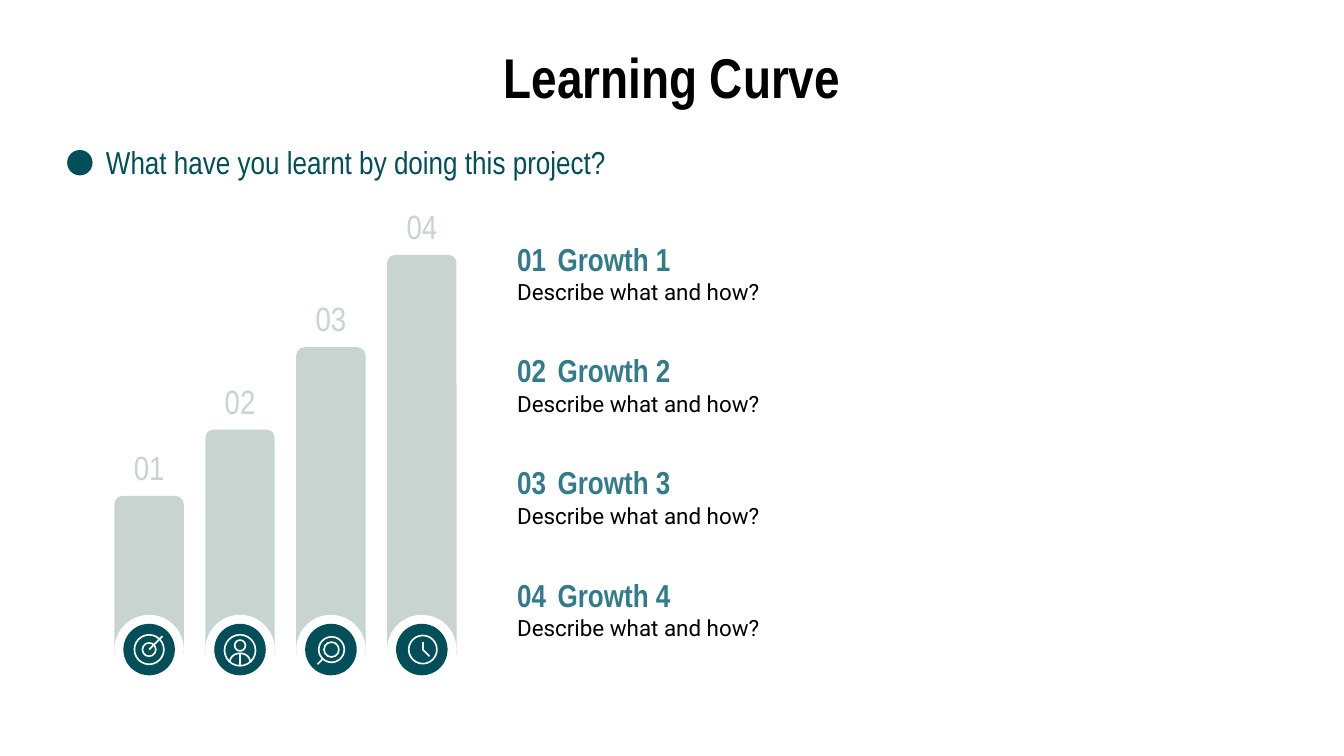
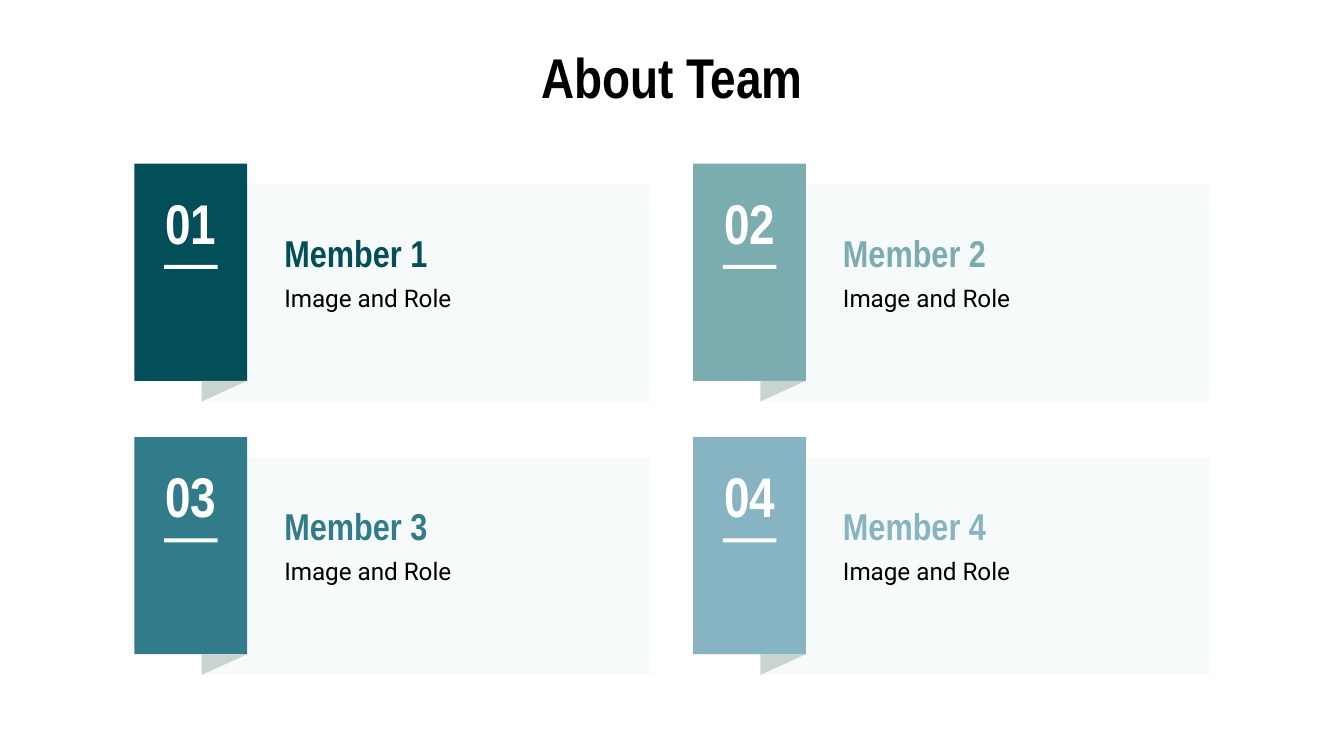
"""Build the learning curve and team slides."""

import dataclasses
import math
import typing

import lxml.etree
import pptx
import pptx.dml.color
import pptx.enum.shapes
import pptx.enum.text
import pptx.oxml.ns
import pptx.util

SHAPES = pptx.enum.shapes.MSO_SHAPE
ALIGN = pptx.enum.text.PP_ALIGN

TEAL, SEA, SAGE, SKY = "024F59", "327B8A", "7BACB0", "86B4C2"
PALE, PANEL, WHITE, BLACK = "C7D4CF", "F7FAFB", "FFFFFF", "000000"
HEADING_FONT, BODY_FONT = "Arial Narrow", "Roboto"
ICON_LINE = 0.88
BADGE_MIDDLE = 348
BAR_WIDTH = 37.2


class Frame(typing.NamedTuple):
    """A rectangle in points."""

    left: float
    top: float
    width: float
    height: float


@dataclasses.dataclass(frozen=True)
class Style:
    """Look of one line of text."""

    size: float
    color: str
    font: str = HEADING_FONT
    bold: bool = False
    align: typing.Any = ALIGN.LEFT


@dataclasses.dataclass(frozen=True)
class Icon:
    """Rings (x, y, diameter) and strokes (point lists) around a badge centre."""

    rings: tuple
    strokes: tuple


@dataclasses.dataclass(frozen=True)
class Bar:
    """One growth step with its bar top and icon."""

    number: str
    top: float
    icon: Icon


@dataclasses.dataclass(frozen=True)
class Member:
    """One team card."""

    number: str
    name: str
    color: str


SHOULDERS = tuple(
    (-5.4 * math.cos(math.pi * step / 16), 6.5 - 4.5 * math.sin(math.pi * step / 16))
    for step in range(17)
)
TARGET = Icon(((0, 0, 15.8), (0, 0, 7.2)), (((0, 0), (7.2, -7.2)),))
PERSON = Icon(((0, -2.2, 5.8), (0, 0.4, 16.6)), (SHOULDERS, ((0, 2.2), (0, 8.6))))
MAGNIFIER = Icon(((0.3, 0, 13.7), (0.3, 0, 8)), (((-7.2, 7.9), (-4.3, 5)),))
CLOCK = Icon(((0.5, 0, 15.1),), (((0.5, -3.8), (0.5, 0)), ((0.5, 0), (4.1, 3.6))))

BARS = (
    Bar("01", 265.7, TARGET),
    Bar("02", 230.2, PERSON),
    Bar("03", 186, MAGNIFIER),
    Bar("04", 136.5, CLOCK),
)
MEMBERS = (
    Member("01", "Member 1", TEAL),
    Member("02", "Member 2", SAGE),
    Member("03", "Member 3", SEA),
    Member("04", "Member 4", SKY),
)

TITLE = Style(30, BLACK, bold=True, align=ALIGN.CENTER)
QUESTION = Style(17, TEAL)
BAR_NUMBER = Style(18, PALE, align=ALIGN.CENTER)
GROWTH = Style(17, SEA, bold=True)
GROWTH_TEXT = Style(12, BLACK, BODY_FONT)
CARD_NUMBER = Style(30, WHITE, bold=True, align=ALIGN.CENTER)
ROLE = Style(13, BLACK, BODY_FONT)


def rgb(color: str) -> pptx.dml.color.RGBColor:
    """Turn a hex string into a colour."""
    return pptx.dml.color.RGBColor.from_string(color)


def points(values: typing.Iterable[float]) -> list:
    """Turn numbers into lengths in points."""
    return [pptx.util.Pt(value) for value in values]


def write(box: typing.Any, text: str, style: Style) -> None:
    """Put one styled line into a shape."""
    frame = box.text_frame
    margin = pptx.util.Pt(7.2)
    frame_format = {
        "word_wrap": True,
        "auto_size": pptx.enum.text.MSO_AUTO_SIZE.NONE,
        "vertical_anchor": pptx.enum.text.MSO_ANCHOR.TOP,
        "margin_left": margin,
        "margin_top": margin,
        "margin_right": margin,
        "margin_bottom": margin,
    }
    for name, value in frame_format.items():
        setattr(frame, name, value)
    para = frame.paragraphs[0]
    para.alignment = style.align
    span = para.add_run()
    span.text = text
    font_format = {
        "name": style.font,
        "size": pptx.util.Pt(style.size),
        "bold": style.bold,
    }
    for name, value in font_format.items():
        setattr(span.font, name, value)
    span.font.color.rgb = rgb(style.color)


def add_text(shapes: typing.Any, frame: Frame, text: str, style: Style) -> None:
    """Add a text box."""
    write(shapes.add_textbox(*points(frame)), text, style)


def paint(shape: typing.Any, fill: str | None, line: str | None = None) -> None:
    """Set the fill and outline of a shape and drop its shadow."""
    shape.shadow.inherit = False
    if fill:
        shape.fill.solid()
        shape.fill.fore_color.rgb = rgb(fill)
    else:
        shape.fill.background()
    if line:
        shape.line.color.rgb = rgb(line)
        shape.line.width = pptx.util.Pt(ICON_LINE)
    else:
        shape.line.fill.background()


def add_block(shapes: typing.Any, frame: Frame, color: str) -> None:
    """Add a filled rectangle."""
    paint(shapes.add_shape(SHAPES.RECTANGLE, *points(frame)), color)


def add_disc(
    shapes: typing.Any,
    x: float,
    y: float,
    diameter: float,
    fill: str | None,
    line: str | None = None,
) -> None:
    """Add a circle around a centre."""
    frame = Frame(x - diameter / 2, y - diameter / 2, diameter, diameter)
    paint(shapes.add_shape(SHAPES.OVAL, *points(frame)), fill, line)


def add_outline(
    shapes: typing.Any,
    x: float,
    y: float,
    corners: typing.Sequence,
    fill: str | None,
    line: str | None = None,
) -> None:
    """Add a freeform from offsets; it is closed when filled."""
    places = [tuple(points((x + dx, y + dy))) for dx, dy in corners]
    builder = shapes.build_freeform(*places[0], scale=1.0)
    builder.add_line_segments(places[1:], close=fill is not None)
    paint(builder.convert_to_shape(), fill, line)


def add_stroke(shapes: typing.Any, x: float, y: float, ends: typing.Sequence) -> None:
    """Add a white straight line between two offsets."""
    lengths = points((x + ends[0][0], y + ends[0][1], x + ends[1][0], y + ends[1][1]))
    stroke = shapes.add_connector(pptx.enum.shapes.MSO_CONNECTOR.STRAIGHT, *lengths)
    stroke.line.color.rgb = rgb(WHITE)
    stroke.line.width = pptx.util.Pt(ICON_LINE)
    lxml.etree.SubElement(stroke._element.spPr, pptx.oxml.ns.qn("a:effectLst"))


def add_badge(shapes: typing.Any, x: float, y: float, icon: Icon) -> None:
    """Add a ringed disc with its line icon."""
    add_disc(shapes, x, y, BAR_WIDTH, WHITE)
    add_disc(shapes, x, y, 27.6, TEAL)
    for dx, dy, diameter in icon.rings:
        add_disc(shapes, x + dx, y + dy, diameter, None, WHITE)
    for stroke in icon.strokes:
        if len(stroke) == 2:
            add_stroke(shapes, x, y, stroke)
        else:
            add_outline(shapes, x, y, stroke, None, WHITE)


def add_bar(shapes: typing.Any, left: float, bar: Bar) -> None:
    """Add a numbered bar with its badge."""
    frame = Frame(left, bar.top, BAR_WIDTH, 350.5 - bar.top)
    column = shapes.add_shape(SHAPES.ROUND_2_SAME_RECTANGLE, *points(frame))
    column.adjustments[0] = 0.12
    paint(column, PALE)
    add_text(shapes, Frame(left, bar.top - 33.4, BAR_WIDTH, 27.4), bar.number, BAR_NUMBER)
    add_badge(shapes, left + BAR_WIDTH / 2, BADGE_MIDDLE, bar.icon)


def add_growth(shapes: typing.Any, top: float, number: str, label: str) -> None:
    """Add one numbered growth entry."""
    add_text(shapes, Frame(270, top, 31.7, 33), number, GROWTH)
    add_text(shapes, Frame(270, top + 20.9, 412, 36), "Describe what and how?", GROWTH_TEXT)
    add_text(shapes, Frame(291.6, top, 157.7, 33), label, GROWTH)


def add_card(shapes: typing.Any, left: float, top: float, member: Member) -> None:
    """Add one folded ribbon card."""
    ribbon, height, fold, bottom, right = 60.5, 116.3, 36, 127.4, 276.5
    panel = (
        (ribbon, 11.1),
        (ribbon, height),
        (fold, bottom),
        (right, bottom),
        (right, 11.1),
    )
    add_outline(shapes, left, top, panel, PANEL)
    add_block(shapes, Frame(left, top, ribbon, height), member.color)
    flap = ((fold, height), (fold, bottom), (ribbon, height))
    add_outline(shapes, left, top, flap, PALE)
    add_text(shapes, Frame(left, top + 6, ribbon, 60), member.number, CARD_NUMBER)
    add_block(shapes, Frame(left + 16, top + 54.2, 28.6, 2.2), WHITE)
    name = Style(20, member.color, bold=True)
    add_text(shapes, Frame(left + 73.2, top + 28.3, 190.8, 33), member.name, name)
    add_text(shapes, Frame(left + 73.2, top + 56.6, 190.8, 46), "Image and Role", ROLE)


def add_page(deck: typing.Any, title: str) -> typing.Any:
    """Add a titled slide and return its shapes."""
    page = deck.slides.add_slide(deck.slide_layouts[5])
    heading = page.shapes.title
    frame = Frame(182, 15.8, 356, 49)
    for name, value in zip(frame._fields, points(frame)):
        setattr(heading, name, value)
    write(heading, title, TITLE)
    return page.shapes


def build_learning(deck: typing.Any) -> None:
    """Build the learning curve slide."""
    shapes = add_page(deck, "Learning Curve")
    add_disc(shapes, 42.8, 87.2, 13.6, TEAL)
    question = "What have you learnt by doing this project?"
    add_text(shapes, Frame(49.7, 69.1, 471, 33), question, QUESTION)
    for index, bar in enumerate(BARS):
        add_bar(shapes, 61.3 + 48.7 * index, bar)
        group = shapes.add_group_shape()
        add_growth(group.shapes, 121 + 60 * index, bar.number, f"Growth {index + 1}")


def build_team(deck: typing.Any) -> None:
    """Build the team slide."""
    shapes = add_page(deck, "About Team")
    for index, member in enumerate(MEMBERS):
        row, column = divmod(index, 2)
        group = shapes.add_group_shape()
        add_card(group.shapes, 72 + 299.3 * column, 87.7 + 146.5 * row, member)


def main() -> None:
    """Build and save the deck."""
    deck = pptx.Presentation()
    deck.slide_width, deck.slide_height = points((720, 405))
    build_learning(deck)
    build_team(deck)
    deck.save("out.pptx")


if __name__ == "__main__":
    main()
